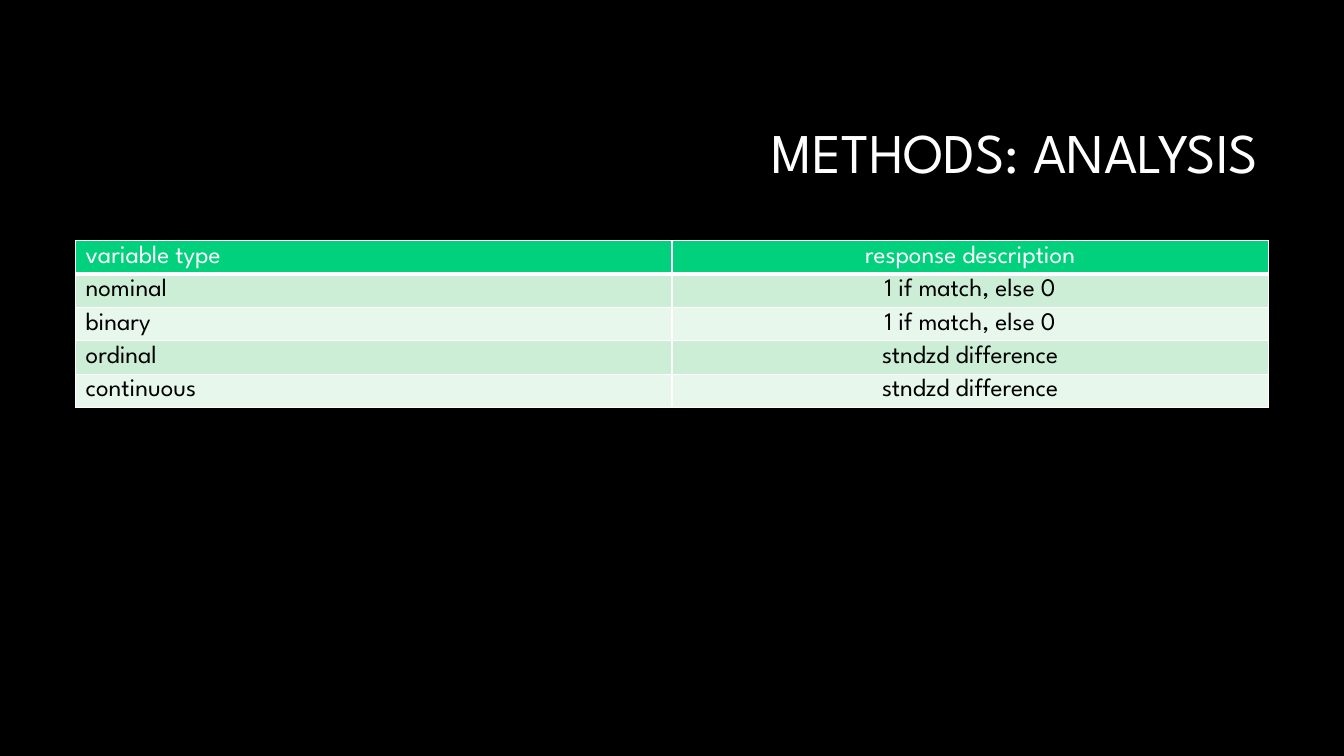
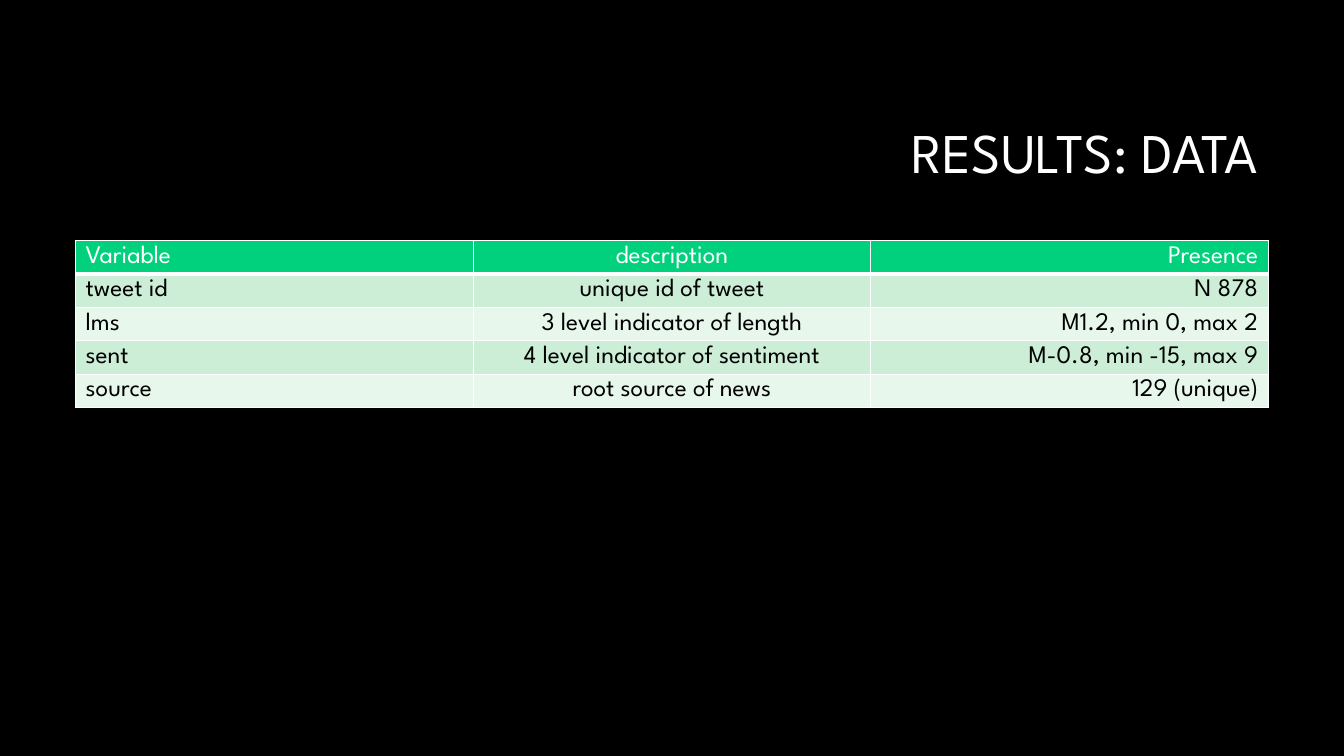
import pptx
import pptx.util
import pptx.dml.color
import pptx.enum.text
import pptx.oxml

Pt = pptx.util.Pt
RGB = pptx.dml.color.RGBColor.from_string
ALIGN = pptx.enum.text.PP_ALIGN
ANCHOR = pptx.enum.text.MSO_ANCHOR

FONT = "League Spartan"
COLORS = {
    "background": "000000",
    "light": "FFFFFF",
    "dark": "000000",
    "header": "01D17D",
    "odd": "CCEED7",
    "even": "E7F7EC",
}
TABLE_LEFT, TABLE_TOP, TABLE_WIDTH, ROW_HEIGHT = 54, 172, 852, 23.8
A_NS = "http://schemas.openxmlformats.org/drawingml/2006/main"

SLIDES = [
    (
        "METHODS: ANALYSIS",
        [ALIGN.LEFT, ALIGN.CENTER],
        [
            ["variable type", "response description"],
            ["nominal", "1 if match, else 0"],
            ["binary", "1 if match, else 0"],
            ["ordinal", "stndzd difference"],
            ["continuous", "stndzd difference"],
        ],
    ),
    (
        "RESULTS: DATA",
        [ALIGN.LEFT, ALIGN.CENTER, ALIGN.RIGHT],
        [
            ["Variable", "description", "Presence"],
            ["tweet id", "unique id of tweet", "N 878"],
            ["lms", "3 level indicator of length", "M1.2, min 0, max 2"],
            ["sent", "4 level indicator of sentiment", "M-0.8, min -15, max 9"],
            ["source", "root source of news", "129 (unique)"],
        ],
    ),
]


def write_text(tf, text, size=18, color="dark", align=ALIGN.LEFT, spacing=1.0):
    p = tf.paragraphs[0]
    p.alignment = align
    p.line_spacing = spacing
    r = p.add_run()
    r.text = text
    r.font.name = FONT
    r.font.size = Pt(size)
    r.font.bold = False
    r.font.color.rgb = RGB(COLORS[color])


def set_borders(cell, bottom=1):
    tc_pr = cell._tc.get_or_add_tcPr()
    for side, width in (("L", 1), ("R", 1), ("T", 1), ("B", bottom)):
        tc_pr.append(pptx.oxml.parse_xml(
            f'<a:ln{side} xmlns:a="{A_NS}" w="{Pt(width)}"><a:solidFill>'
            f'<a:srgbClr val="{COLORS["light"]}"/></a:solidFill></a:ln{side}>'
        ))


prs = pptx.Presentation()
prs.slide_width, prs.slide_height = Pt(960), Pt(540)
fill = prs.slide_master.background.fill
fill.solid()
fill.fore_color.rgb = RGB(COLORS["background"])

for title, aligns, rows in SLIDES:
    s = prs.slides.add_slide(prs.slide_layouts[5])
    sp = s.shapes.title
    sp.left, sp.top, sp.width, sp.height = Pt(228), Pt(60.5), Pt(678), Pt(101.5)
    tf = sp.text_frame
    tf.word_wrap = True
    tf.auto_size = pptx.enum.text.MSO_AUTO_SIZE.NONE
    tf.vertical_anchor = ANCHOR.MIDDLE
    write_text(tf, title, size=40, color="light", align=ALIGN.RIGHT, spacing=0.9)

    table = s.shapes.add_table(
        len(rows), len(aligns), Pt(TABLE_LEFT), Pt(TABLE_TOP),
        Pt(TABLE_WIDTH), Pt(ROW_HEIGHT * len(rows)),
    ).table
    for i, row in enumerate(rows):
        table.rows[i].height = Pt(ROW_HEIGHT)
        header = i == 0
        band = "header" if header else "odd" if i % 2 else "even"
        for j, text in enumerate(row):
            cell = table.cell(i, j)
            set_borders(cell, bottom=3 if header else 1)
            cell.fill.solid()
            cell.fill.fore_color.rgb = RGB(COLORS[band])
            write_text(cell.text_frame, text, color="light" if header else "dark",
                       align=aligns[j])

prs.save("out.pptx")
